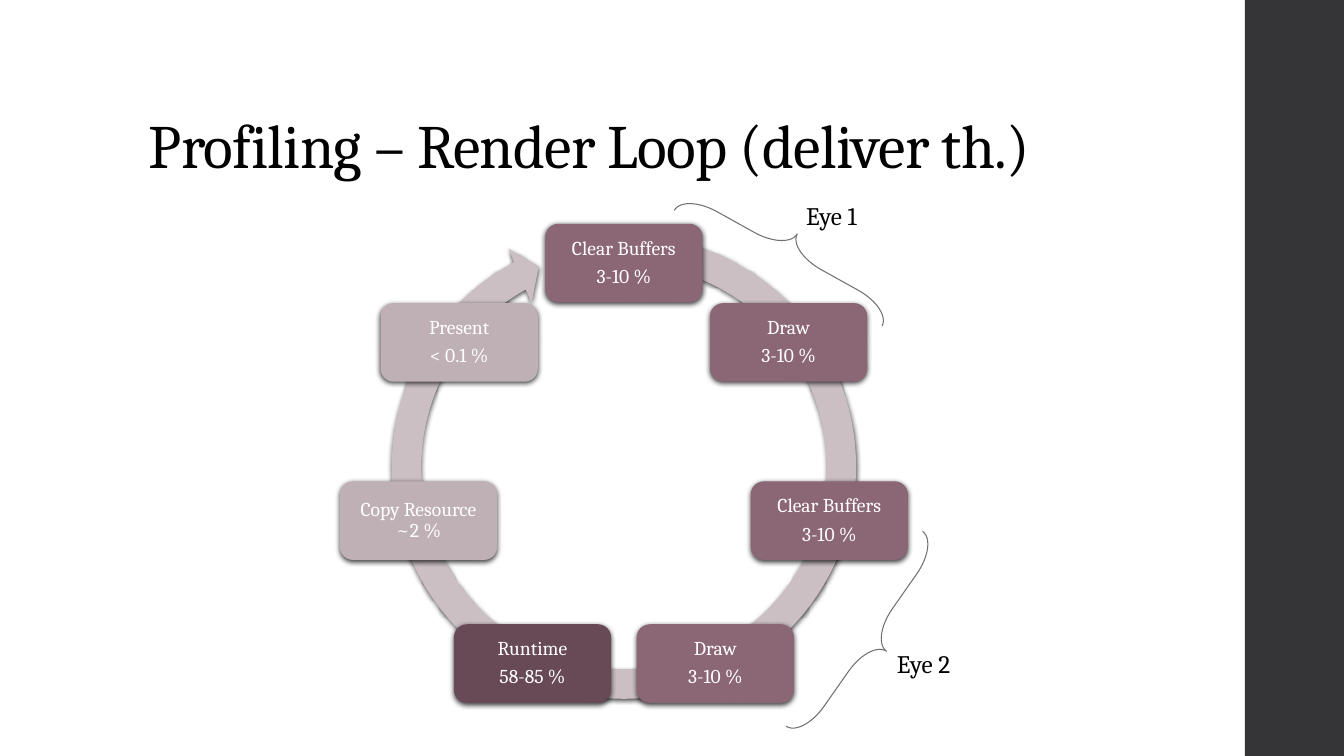
import math

import lxml.etree
import pptx
import pptx.dml.color
import pptx.enum.shapes
import pptx.enum.text
import pptx.oxml.ns
import pptx.util

SHAPES = pptx.enum.shapes.MSO_SHAPE
ALIGN = pptx.enum.text.PP_ALIGN
ANCHOR = pptx.enum.text.MSO_ANCHOR
COLORS = {
    "sidebar": "353537",
    "ring": "CBBFC3",
    "eye": "8B6674",
    "runtime": "684956",
    "output": "BFB0B5",
    "brace": "6F6F74",
    "ink": "000000",
    "light": "FFFFFF",
}
COLUMNS, ROWS = 133.33, 75
STAGES = [
    ("Clear Buffers\n3-10 %", "eye"),
    ("Draw\n3-10 %", "eye"),
    ("Clear Buffers\n3-10 %", "eye"),
    ("Draw\n3-10 %", "eye"),
    ("Runtime\n58-85 %", "runtime"),
    ("Copy Resource\v~2 %", "output"),
    ("Present\n< 0.1 %", "output"),
]
RING_CENTER = (61.9, 47)
RING_RADIUS = 20.9
STAGE_SIZE = (15.6, 7.8)
EYES = [
    ("Eye 1", (79, 19.4), (76.2, 13.1), 299.1),
    ("Eye 2", (88, 63.8), (84.4, 51.7), 35),
]


class RenderLoopPage:
    font = "Cambria"
    cell = pptx.util.Inches(0.1)

    def __init__(self, deck):
        deck.slide_width = self.grid(COLUMNS)
        deck.slide_height = self.grid(ROWS)
        self.page = deck.slides.add_slide(deck.slide_layouts[6])

    def grid(self, *cells):
        lengths = [round(count * self.cell) for count in cells]
        return lengths if len(lengths) > 1 else lengths[0]

    def color(self, name):
        return pptx.dml.color.RGBColor.from_string(COLORS[name])

    def shape(self, kind, place, fill=None, adjustments=(), shadow=False):
        shape = self.page.shapes.add_shape(kind, *self.grid(*place))
        for index, value in enumerate(adjustments):
            shape.adjustments[index] = value
        shape.line.fill.background()
        if fill:
            shape.fill.solid()
            shape.fill.fore_color.rgb = self.color(fill)
        else:
            shape.fill.background()
        shape.shadow.inherit = False
        if shadow:
            self.cast_shadow(shape)
        return shape

    def cast_shadow(self, shape):
        qn = pptx.oxml.ns.qn
        effects = shape._element.spPr.find(qn("a:effectLst"))
        outer = lxml.etree.SubElement(
            effects, qn("a:outerShdw"), blurRad="50800", dist="15240",
            dir="5400000", algn="ctr", rotWithShape="0")
        tone = lxml.etree.SubElement(outer, qn("a:srgbClr"), val=COLORS["ink"])
        lxml.etree.SubElement(tone, qn("a:alpha"), val="75000")

    def set_text(self, box, text, size, color, align=ALIGN.LEFT,
                 anchor=ANCHOR.TOP, line_spacing=1.0, after=0, tracking=0):
        frame = box.text_frame
        frame.word_wrap = True
        frame.vertical_anchor = anchor
        frame.text = text
        for para in frame.paragraphs:
            para.alignment = align
            para.line_spacing = line_spacing
            para.space_after = pptx.util.Pt(after)
            for span in para.runs:
                span.font.name = self.font
                span.font.size = pptx.util.Pt(size)
                span.font.color.rgb = self.color(color)
                if tracking:
                    span._r.get_or_add_rPr().set("spc", str(tracking))

    def label(self, place, text, size, **style):
        box = self.page.shapes.add_textbox(*self.grid(*place))
        self.set_text(box, text, size, "ink", **style)

    def stage(self, center, text, fill):
        width, height = STAGE_SIZE
        place = (center[0] - width / 2, center[1] - height / 2, width, height)
        box = self.shape(SHAPES.ROUNDED_RECTANGLE, place, fill, shadow=True)
        self.set_text(box, text, 14, "light", ALIGN.CENTER, ANCHOR.MIDDLE, 0.9, 4.9)

    def brace(self, corner, rotation):
        brace = self.shape(SHAPES.RIGHT_BRACE, (*corner, 3.9, 23.6),
                           adjustments=(0.97, 0.5))
        brace.rotation = rotation
        brace.line.color.rgb = self.color("brace")
        brace.line.width = pptx.util.Pt(0.75)


def main():
    deck = pptx.Presentation()
    page = RenderLoopPage(deck)
    page.shape(SHAPES.RECTANGLE, (123.5, 0, 9.83, ROWS), "sidebar")
    page.label((13.8, 4, 106, 14.5), "Profiling – Render Loop (deliver th.)", 44,
               anchor=ANCHOR.BOTTOM, line_spacing=0.9, tracking=-50)
    page.shape(SHAPES.CIRCULAR_ARROW, (37.4, 21.8, 49, 49), "ring",
               (0.06, 3.31, 144.84, 169.69, 0.06), shadow=True)

    for index, (text, fill) in enumerate(STAGES):
        angle = 2 * math.pi * index / len(STAGES)
        center = (RING_CENTER[0] + RING_RADIUS * math.sin(angle),
                  RING_CENTER[1] - RING_RADIUS * math.cos(angle))
        page.stage(center, text, fill)

    for text, label_corner, brace_corner, rotation in EYES:
        page.brace(brace_corner, rotation)
        page.label((*label_corner, 10.6, 4), text, 18)

    deck.save("out.pptx")


if __name__ == "__main__":
    main()
